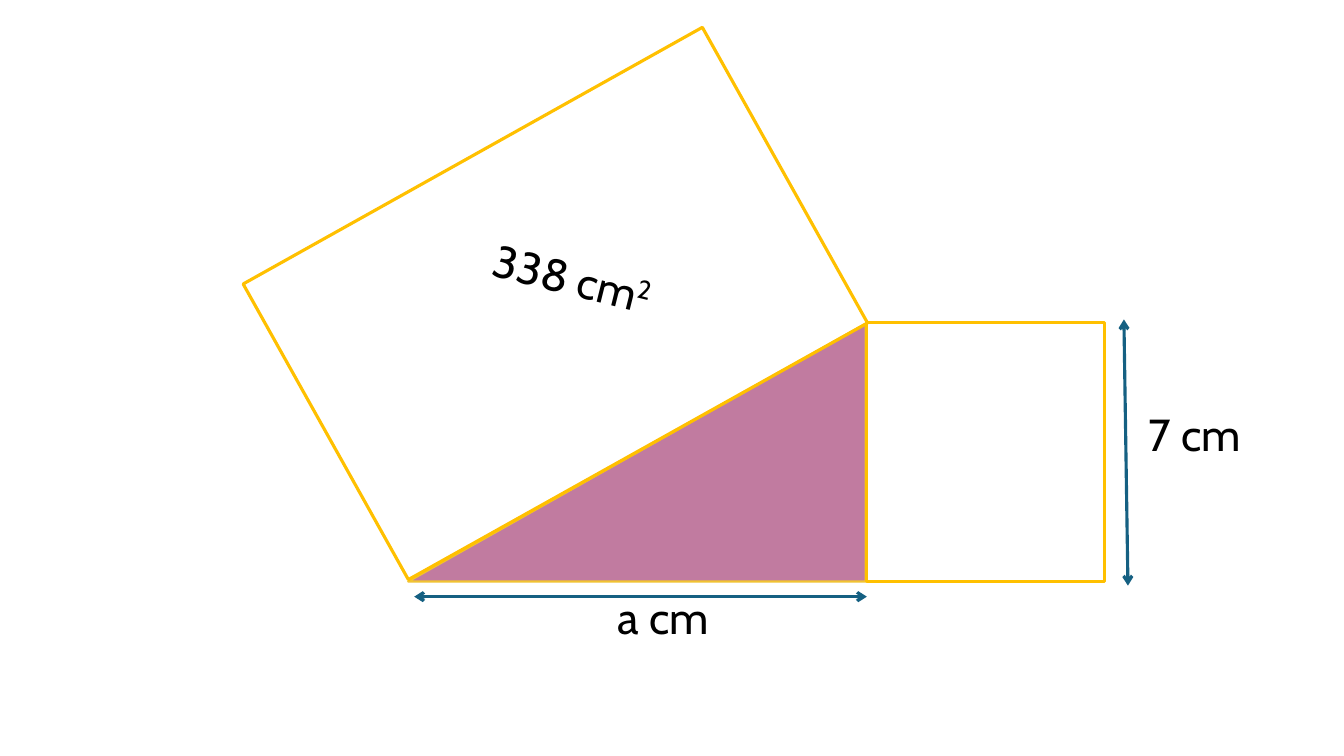
"""Draw a right triangle with quadrilaterals on two sides and labelled measurements."""
from dataclasses import dataclass

from lxml import etree
from pptx import Presentation
from pptx.dml.color import RGBColor
from pptx.enum.shapes import MSO_CONNECTOR, MSO_SHAPE
from pptx.enum.text import MSO_AUTO_SIZE
from pptx.oxml.ns import qn
from pptx.shapes.shapetree import GroupShapes
from pptx.util import Pt

RECTANGLE = MSO_SHAPE.RECTANGLE
RIGHT_TRIANGLE = MSO_SHAPE.RIGHT_TRIANGLE
STRAIGHT = MSO_CONNECTOR.STRAIGHT
FIT_SHAPE = MSO_AUTO_SIZE.SHAPE_TO_FIT_TEXT
BLANK_LAYOUT = 6
FONT = "Cabin"
COLORS = {
    "triangle": "C17BA0",
    "triangle_edge": "F1C332",
    "square_edge": "FFC000",
    "measure": "156082",
    "text": "000000",
}


@dataclass
class Figure:
    preset: MSO_SHAPE
    left: float
    top: float
    width: float
    height: float
    edge: str
    edge_width: float
    fill: str = ""
    rotation: float = 0
    mirrored: bool = False


@dataclass
class Measure:
    start: tuple[float, float]
    end: tuple[float, float]


@dataclass
class Label:
    text: str
    left: float
    top: float
    width: float
    superscript: str = ""
    rotation: float = 0
    wrap: bool = False


FIGURES = [
    Figure(RIGHT_TRIANGLE, 291.6, 231.1, 326.9, 184.3, "triangle_edge", 1.5,
           fill="triangle", mirrored=True),
    Figure(RECTANGLE, 208.8, 95.8, 375.8, 241.9, "square_edge", 2.25, rotation=330.8),
    Figure(RECTANGLE, 619.2, 230.4, 169.9, 185, "square_edge", 2.25),
]
MEASURES = [
    Measure((295.9, 426.2), (619.2, 426.2)),
    Measure((802.8, 228.2), (805.7, 418.3)),
]
LABELS = [
    Label("338 cm", 344.2, 179.3, 162, superscript="2", rotation=14, wrap=True),
    Label("a cm", 434.2, 417.6, 84.2),
    Label("7 cm", 813.6, 286.6, 84.2),
]
LABEL_HEIGHT = 46


def color(name: str) -> RGBColor:
    """Return the named colour."""
    return RGBColor.from_string(COLORS[name])


def draw_figure(shapes: GroupShapes, figure: Figure) -> None:
    """Draw one outlined shape."""
    shape = shapes.add_shape(figure.preset, Pt(figure.left), Pt(figure.top),
                             Pt(figure.width), Pt(figure.height))
    shape.shadow.inherit = False
    shape.rotation = figure.rotation
    if figure.mirrored:
        shape._element.spPr.xfrm.set("flipH", "1")
    if figure.fill:
        shape.fill.solid()
        shape.fill.fore_color.rgb = color(figure.fill)
    else:
        shape.fill.background()
    shape.line.color.rgb = color(figure.edge)
    shape.line.width = Pt(figure.edge_width)


def draw_measure(shapes: GroupShapes, measure: Measure) -> None:
    """Draw one double-headed measuring arrow."""
    arrow = shapes.add_connector(STRAIGHT, *map(Pt, measure.start + measure.end))
    arrow.line.color.rgb = color("measure")
    arrow.line.width = Pt(2.25)
    line = arrow.line._get_or_add_ln()
    for end in ("a:headEnd", "a:tailEnd"):
        etree.SubElement(line, qn(end)).set("type", "arrow")
    etree.SubElement(arrow._element.spPr, qn("a:effectLst"))


def draw_label(shapes: GroupShapes, label: Label) -> None:
    """Write one label with its optional superscript."""
    box = shapes.add_textbox(Pt(label.left), Pt(label.top), Pt(label.width), Pt(LABEL_HEIGHT))
    box.rotation = label.rotation
    box.text_frame.word_wrap = label.wrap
    box.text_frame.auto_size = FIT_SHAPE
    paragraph = box.text_frame.paragraphs[0]
    for text, baseline in ((label.text, 0), (label.superscript, 30000)):
        if text:
            run = paragraph.add_run()
            run.text = text
            run.font.name = FONT
            run.font.size = Pt(32)
            run.font.color.rgb = color("text")
            if baseline:
                run.font._element.set("baseline", str(baseline))


def main() -> None:
    """Build and save the slide."""
    deck = Presentation()
    deck.slide_width, deck.slide_height = Pt(960), Pt(540)
    slide = deck.slides.add_slide(deck.slide_layouts[BLANK_LAYOUT])
    diagram = slide.shapes.add_group_shape().shapes
    for figure in FIGURES:
        draw_figure(diagram, figure)
    for measure in MEASURES:
        draw_measure(diagram, measure)
    for label in LABELS:
        draw_label(diagram, label)
    deck.save("out.pptx")


if __name__ == "__main__":
    main()
